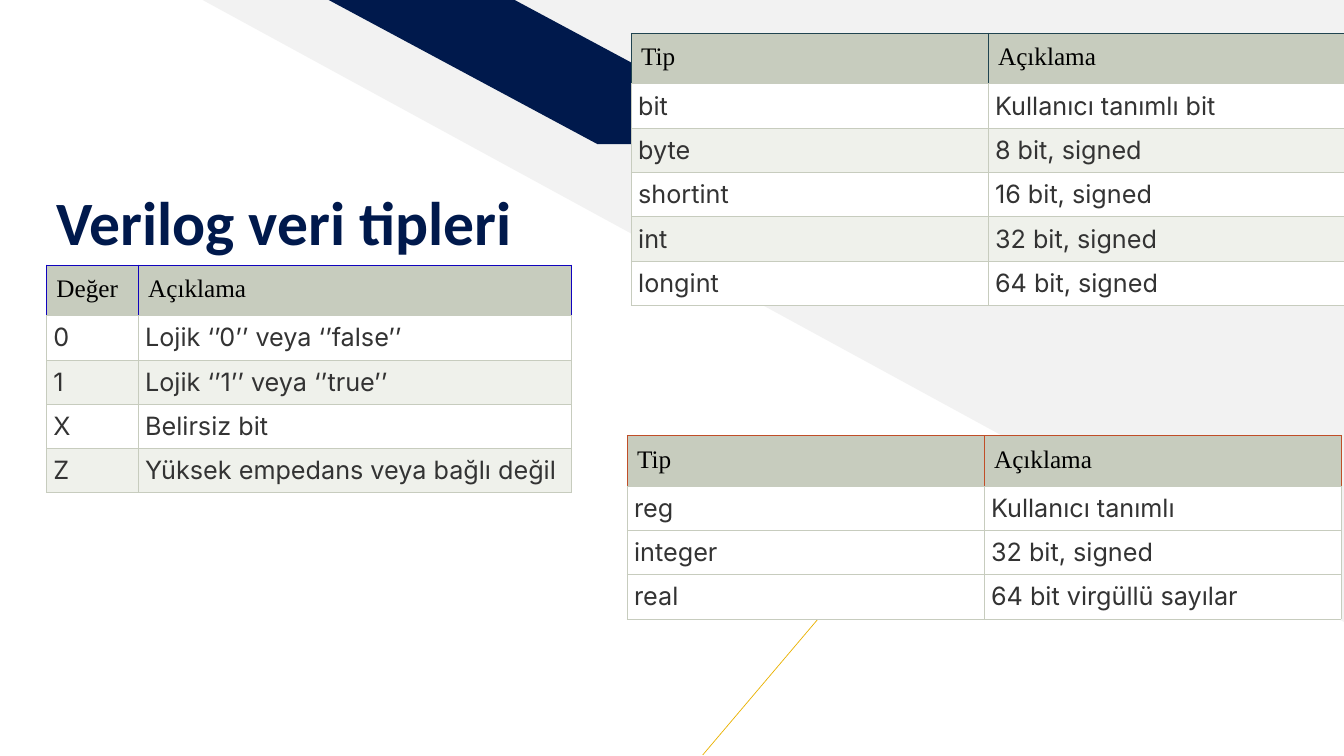
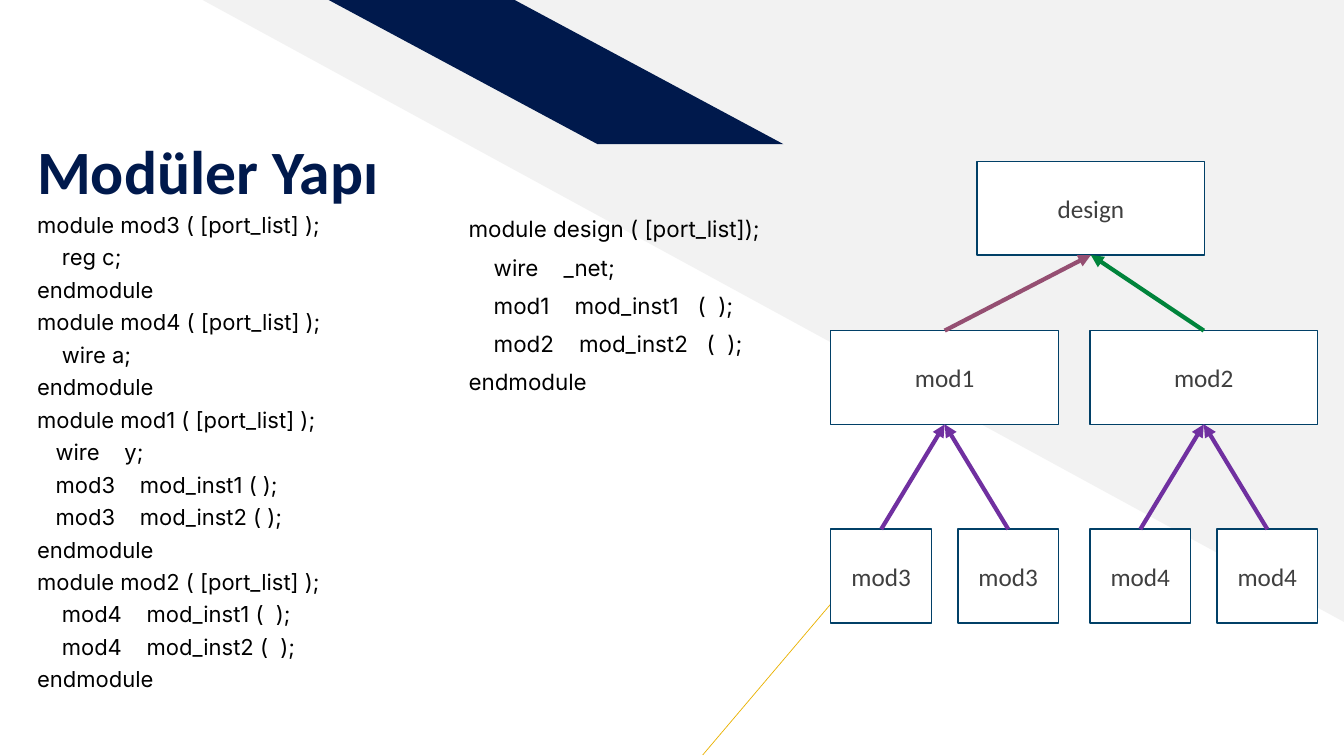
from dataclasses import dataclass, field

import pptx
import pptx.dml.color
import pptx.enum.shapes
import pptx.enum.text
import pptx.oxml
import pptx.oxml.ns
import pptx.util
from pptx.util import Inches

SHAPE = pptx.enum.shapes.MSO_SHAPE
LINE = pptx.enum.shapes.MSO_CONNECTOR
ANCHOR = pptx.enum.text.MSO_ANCHOR
ALIGN = pptx.enum.text.PP_ALIGN
TOP, BOTTOM = 0, 2  # connection sites of a rectangle


@dataclass(frozen=True)
class Theme:
    white: str = "FFFFFF"
    black: str = "000000"
    navy: str = "00194C"
    pale: str = "F2F2F2"
    gold: str = "EAB200"
    sage: str = "C7CCBE"
    mist: str = "EFF1EB"
    ink: str = "333333"
    edge: str = "014067"
    label: str = "3F3F3F"
    plum: str = "954F72"
    green: str = "00843B"
    violet: str = "7030A0"
    head: str = "Times New Roman"
    body: str = "Inter"
    title: str = "Calibri"
    big: float = 44
    text: float = 18


THEME = Theme()


@dataclass(frozen=True)
class Grid:
    left: float
    top: float
    cols: tuple[float, ...]
    rows: list[tuple[str, str]]
    rim: str
    banded: bool = True
    head: float = 0.48
    row: float = 0.43


@dataclass(frozen=True)
class Code:
    left: float
    size: float
    lead: float
    text: str


@dataclass(frozen=True)
class Node:
    text: str
    left: float
    top: float
    width: float
    color: str = ""
    kids: list["Node"] = field(default_factory=list)


GRIDS = [
    Grid(0.46, 2.63, (0.91, 4.3), [
        ("Değer", "Açıklama"),
        ("0", "Lojik ‘’0’’ veya ‘’false’’"),
        ("1", "Lojik ‘’1’’ veya ‘’true’’"),
        ("X", "Belirsiz bit"),
        ("Z", "Yüksek empedans veya bağlı değil"),
    ], "1003BE", head=0.5),
    Grid(6.26, 0.33, (3.54, 3.54), [
        ("Tip", "Açıklama"),
        ("bit", "Kullanıcı tanımlı bit"),
        ("byte", "8 bit, signed"),
        ("shortint", "16 bit, signed"),
        ("int", "32 bit, signed"),
        ("longint", "64 bit, signed"),
    ], "204450"),
    Grid(6.22, 4.32, (3.54, 3.54), [
        ("Tip", "Açıklama"),
        ("reg", "Kullanıcı tanımlı"),
        ("integer", "32 bit, signed"),
        ("real", "64 bit virgüllü sayılar"),
    ], "C04E28", banded=False),
]

CODES = [
    Code(0.27, 15.7, 0.7, """\
module mod3 ( [port_list] );
    reg c;
endmodule
module mod4 ( [port_list] );
    wire a;
endmodule
module mod1 ( [port_list] );
   wire    y;
   mod3    mod_inst1 ( );
   mod3    mod_inst2 ( );
endmodule
module mod2 ( [port_list] );
    mod4    mod_inst1 (  );
    mod4    mod_inst2 (  );
endmodule"""),
    Code(4.55, 16, 0.9, """\
module design ( [port_list]);
    wire    _net;
    mod1    mod_inst1   (  );
    mod2    mod_inst2   (  );
endmodule"""),
]


def branch(text: str, leaf: str, left: float, color: str) -> Node:
    """A module with its two instances below, flush with its sides."""
    kids = [Node(leaf, left + step, 5.25, 1, THEME.violet) for step in (0, 1.26)]
    return Node(text, left, 3.28, 2.26, color, kids)


TREE = Node("design", 9.69, 1.6, 2.26, kids=[
    branch("mod1", "mod3", 8.24, THEME.plum),
    branch("mod2", "mod4", 10.81, THEME.green),
])


def rgb(color: str) -> pptx.dml.color.RGBColor:
    return pptx.dml.color.RGBColor.from_string(color)


def style(para, name: str, size: float, color: str, bold: bool = False) -> None:
    font = para.font
    font.name, font.size, font.bold = name, pptx.util.Pt(size), bold
    font.color.rgb = rgb(color)


def add_box(slide, kind, left: float, top: float, width: float, height: float,
            fill: str, edge: str = ""):
    box = slide.shapes.add_shape(
        kind, Inches(left), Inches(top), Inches(width), Inches(height))
    box.shadow.inherit = False
    box.fill.solid()
    box.fill.fore_color.rgb = rgb(fill)
    if edge:
        box.line.color.rgb = rgb(edge)
        box.line.width = pptx.util.Pt(1)
    else:
        box.line.fill.background()
    return box


def add_line(slide, start: tuple[float, float], end: tuple[float, float],
             color: str, width: float):
    line = slide.shapes.add_connector(
        LINE.STRAIGHT, *(Inches(n) for n in start + end))
    line.line.color.rgb = rgb(color)
    line.line.width = pptx.util.Pt(width)
    props = line.element.spPr
    props.append(props.makeelement(pptx.oxml.ns.qn("a:effectLst"), {}))
    return line


def add_text(slide, left: float, top: float, width: float, height: float):
    box = slide.shapes.add_textbox(
        Inches(left), Inches(top), Inches(width), Inches(height))
    box.text_frame.word_wrap = True
    return box.text_frame


def add_slide(deck, title: str, left: float, top: float):
    """A blank slide with the shared backdrop and a title."""
    slide = deck.slides.add_slide(deck.slide_layouts[6])
    wedge = add_box(slide, SHAPE.RIGHT_TRIANGLE, 2.01, 0, 11.32, 6.17, THEME.pale)
    wedge.rotation = 180
    band = add_box(slide, SHAPE.PARALLELOGRAM, 3.26, 0, 4.51, 1.43, THEME.navy)
    band.adjustments[0] = 1.864
    band.element.spPr.get_or_add_xfrm().set("flipH", "1")
    add_line(slide, (6.97, 7.49), (8.64, 5.52), THEME.gold, 0.5)

    frame = add_text(slide, left, top, 8.84, 1.33)
    frame.vertical_anchor = ANCHOR.BOTTOM
    frame.margin_bottom = 0
    para = frame.paragraphs[0]
    para.text = title
    para.line_spacing = 0.9
    style(para, THEME.title, THEME.big, THEME.navy, True)
    return slide


def set_rim(cell, sides: dict[str, str]) -> None:
    """Draw the cell borders, one colour for each side."""
    props = cell._tc.get_or_add_tcPr()
    for side, color in sides.items():
        props.append(pptx.oxml.parse_xml(
            f'<a:ln{side} {pptx.oxml.ns.nsdecls("a")} w="7620"><a:solidFill>'
            f'<a:srgbClr val="{color}"/></a:solidFill></a:ln{side}>'))


def add_grid(slide, grid: Grid) -> None:
    count = len(grid.rows)
    high = grid.head + grid.row * (count - 1)
    table = slide.shapes.add_table(
        count, len(grid.cols), Inches(grid.left), Inches(grid.top),
        Inches(sum(grid.cols)), Inches(high)).table
    table.first_row = table.horz_banding = False
    for col, width in zip(table.columns, grid.cols):
        col.width = Inches(width)
    for r, texts in enumerate(grid.rows):
        head = r == 0
        table.rows[r].height = Inches(grid.head if head else grid.row)
        if head:
            fill, name, ink, pad = THEME.sage, THEME.head, THEME.black, 0.1
        else:
            fill = THEME.mist if grid.banded and r % 2 == 0 else THEME.white
            name, ink, pad = THEME.body, THEME.ink, 0.07
        rim = grid.rim if head else THEME.sage
        for c, text in enumerate(texts):
            cell = table.cell(r, c)
            set_rim(cell, {"L": rim, "R": rim, "T": rim if head else THEME.sage,
                           "B": THEME.sage})
            cell.fill.solid()
            cell.fill.fore_color.rgb = rgb(fill)
            cell.margin_left = cell.margin_right = Inches(pad)
            cell.margin_top = cell.margin_bottom = Inches(pad)
            para = cell.text_frame.paragraphs[0]
            para.text = text
            para.alignment = ALIGN.LEFT if head else ALIGN.JUSTIFY
            style(para, name, THEME.text, ink)


def add_code(slide, code: Code) -> None:
    frame = add_text(slide, code.left, 2.12, 3.7, 5.18)
    frame.text = code.text
    for i, para in enumerate(frame.paragraphs):
        para.alignment = ALIGN.JUSTIFY
        para.line_spacing = code.lead
        if i:
            para.space_before = pptx.util.Pt(10)
        style(para, THEME.body, code.size, THEME.black)


def add_node(slide, node: Node):
    """Draw a module, then those below it with arrows up to it."""
    box = add_box(slide, SHAPE.RECTANGLE, node.left, node.top, node.width, 0.93,
                  THEME.white, THEME.edge)
    box.text_frame.vertical_anchor = ANCHOR.MIDDLE
    para = box.text_frame.paragraphs[0]
    para.text = node.text
    para.alignment = ALIGN.CENTER
    style(para, THEME.title, THEME.text, THEME.label)
    for kid in node.kids:
        child = add_node(slide, kid)
        arrow = add_line(slide, (0, 0), (1, 1), kid.color, 3)
        arrow.begin_connect(child, TOP)
        arrow.end_connect(box, BOTTOM)
        arrow.line._get_or_add_ln().append(pptx.oxml.parse_xml(
            f'<a:tailEnd {pptx.oxml.ns.nsdecls("a")} type="triangle"/>'))
    return box


def main() -> None:
    deck = pptx.Presentation()
    deck.slide_width, deck.slide_height = Inches(13.33), Inches(7.5)

    types = add_slide(deck, "Verilog veri tipleri", 0.46, 1.24)
    for grid in GRIDS:
        add_grid(types, grid)

    parts = add_slide(deck, "Modüler Yapı", 0.27, 0.73)
    for code in CODES:
        add_code(parts, code)
    add_node(parts, TREE)

    deck.save("out.pptx")


if __name__ == "__main__":
    main()
